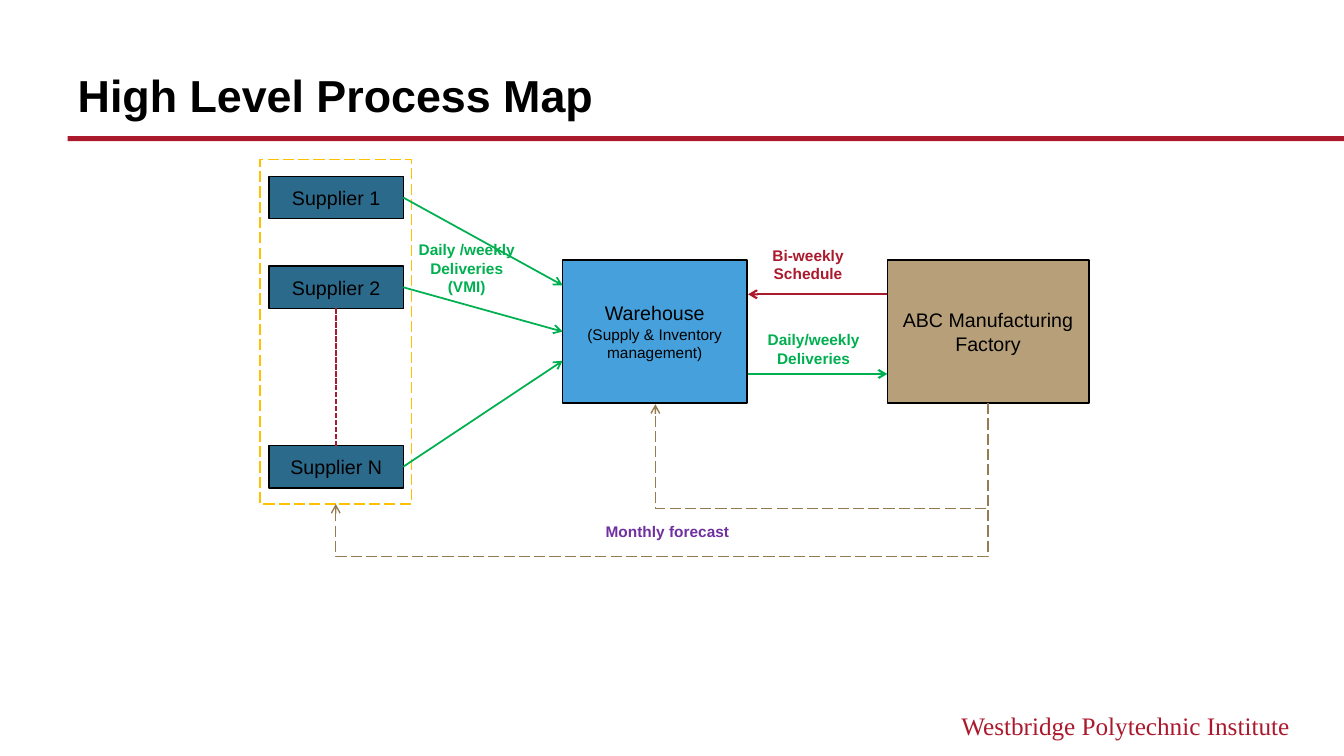
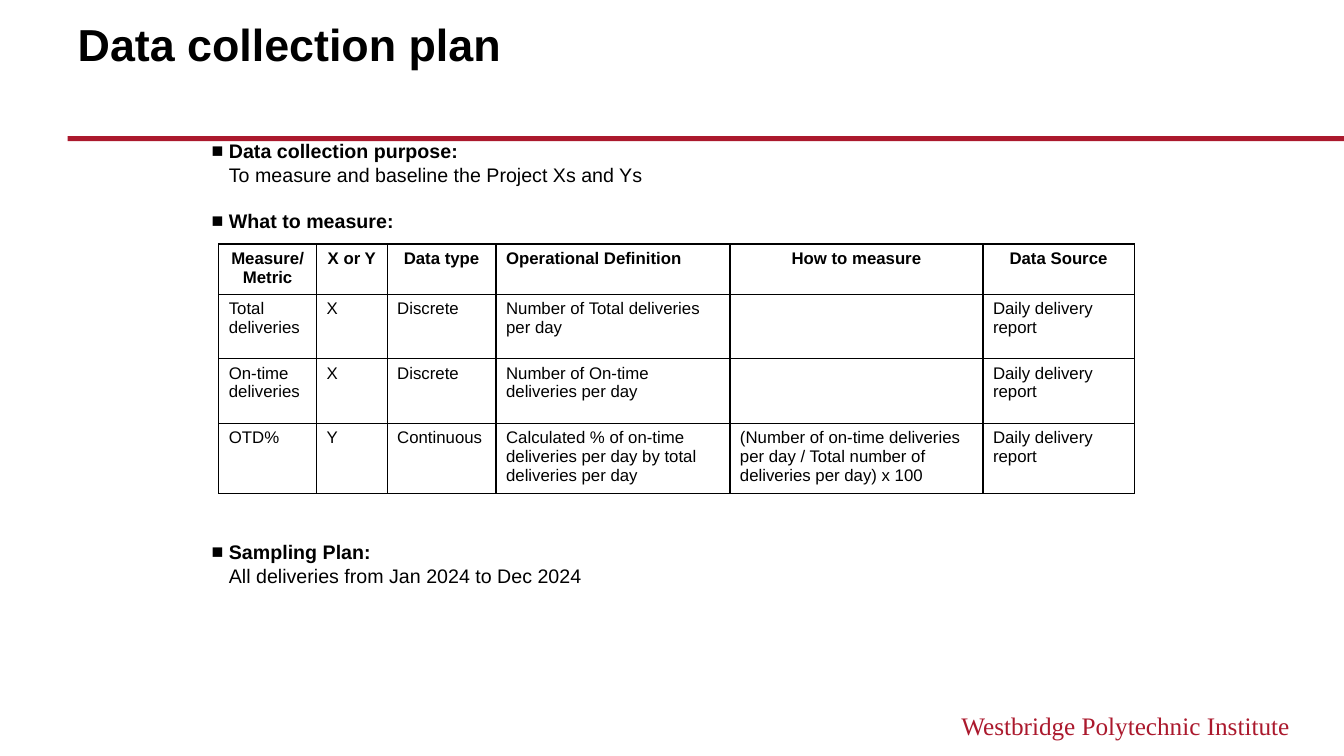
import lxml.etree
import pptx
import pptx.dml.color
import pptx.enum.dml
import pptx.enum.shapes
import pptx.enum.text
import pptx.oxml.ns
import pptx.util

Inches = pptx.util.Inches
Pt = pptx.util.Pt
RGBColor = pptx.dml.color.RGBColor
Align = pptx.enum.text.PP_ALIGN
Anchor = pptx.enum.text.MSO_ANCHOR
Dash = pptx.enum.dml.MSO_LINE
Shape = pptx.enum.shapes.MSO_SHAPE
Connector = pptx.enum.shapes.MSO_CONNECTOR
qn = pptx.oxml.ns.qn

BLACK = RGBColor(0x00, 0x00, 0x00)
CRIMSON = RGBColor(0xAB, 0x19, 0x2D)
GREEN = RGBColor(0x00, 0xB0, 0x50)
PURPLE = RGBColor(0x70, 0x30, 0xA0)
TEAL = RGBColor(0x2C, 0x6A, 0x8C)
BLUE = RGBColor(0x46, 0xA0, 0xDC)
SAND = RGBColor(0xB7, 0xA0, 0x79)
BROWN = RGBColor(0x94, 0x7B, 0x50)
GOLD = RGBColor(0xFF, 0xC0, 0x00)

TOP, LEFT, BOTTOM, RIGHT = range(4)
TITLE_ONLY, TWO_CONTENT = 5, 3


def add_xml(parent, tag, **attributes):
    return lxml.etree.SubElement(parent, qn(tag), attributes)


class DeckBuilder:
    """Holds the shared style and the slide being built."""

    font = "Arial"
    footer = "Westbridge Polytechnic Institute"

    def __init__(self):
        self.deck = pptx.Presentation()
        self.deck.slide_width = Inches(13.33)
        self.deck.slide_height = Inches(7.5)
        self.slide = None

    def new_slide(self, layout, title, title_bottom):
        self.slide = self.deck.slides.add_slide(self.deck.slide_layouts[layout])
        self.box(0.67, 1.35, 12.66, 0.05, fill=CRIMSON)
        self.label(8, 7, 4.89, 0.4, [self.footer], CRIMSON, size=18, bold=False,
                   align=Align.RIGHT, font="Times New Roman")
        heading = self.slide.shapes.title
        self.place(heading, 0.67, title_bottom - 0.75, 12, 0.75)
        self.set_text(heading.text_frame, [title], size=32, bold=True,
                      align=Align.LEFT, anchor=Anchor.BOTTOM)

    def place(self, shape, left, top, width, height):
        shape.left, shape.top = Inches(left), Inches(top)
        shape.width, shape.height = Inches(width), Inches(height)

    def style(self, para, size, color=BLACK, bold=False, align=Align.LEFT, font=None):
        para.alignment = align
        for span in para.runs:
            span.font.name = font or self.font
            span.font.size = Pt(size)
            span.font.bold = bold
            span.font.color.rgb = color

    def set_text(self, frame, lines, anchor=Anchor.MIDDLE, **style):
        frame.word_wrap = True
        frame.auto_size = pptx.enum.text.MSO_AUTO_SIZE.NONE
        frame.vertical_anchor = anchor
        frame.text = "\n".join(lines)
        for para in frame.paragraphs:
            self.style(para, **style)

    def box(self, left, top, width, height, lines=(), fill=None, line=None, dash=None):
        box = self.slide.shapes.add_shape(
            Shape.RECTANGLE, Inches(left), Inches(top), Inches(width), Inches(height))
        box.shadow.inherit = False
        if fill is None:
            box.fill.background()
        else:
            box.fill.solid()
            box.fill.fore_color.rgb = fill
        if line is None:
            box.line.fill.background()
        else:
            box.line.color.rgb = line
            box.line.width = Pt(1)
            box.line.dash_style = dash
        if lines:
            self.set_text(box.text_frame, lines, size=14, align=Align.CENTER)
        return box

    def label(self, left, top, width, height, lines, color, size=11, bold=True,
              align=Align.CENTER, font=None):
        box = self.slide.shapes.add_textbox(
            Inches(left), Inches(top), Inches(width), Inches(height))
        self.set_text(box.text_frame, lines, size=size, color=color, bold=bold,
                      align=align, font=font)

    def connector(self, kind, start, end, color, width, dash=None, arrow=True):
        line = self.slide.shapes.add_connector(
            kind, *(Inches(value) for value in (*start, *end)))
        line.line.color.rgb = color
        line.line.width = Pt(width)
        line.line.dash_style = dash
        if arrow:
            add_xml(line.line._get_or_add_ln(), "a:tailEnd", type="arrow")
        add_xml(line._element.spPr, "a:effectLst")
        return line

    def straight(self, start, end, color, width=1.5, dash=None, arrow=True):
        return self.connector(Connector.STRAIGHT, start, end, color, width, dash, arrow)

    def under_elbow(self, start, end, drop, color):
        """Arrow that goes down by drop, then left, then up to its end."""
        (x1, y1), (x2, y2) = start, end
        depth, span = y2 - y1, x1 - x2
        left = (x1 + x2 - depth) / 2
        top = (y1 + y2 - span) / 2
        line = self.connector(Connector.ELBOW, (left, top), (left + depth, top + span),
                              color, 1, Dash.LONG_DASH)
        properties = line._element.spPr
        properties.find(qn("a:xfrm")).set("rot", "5400000")
        adjustments = properties.find(qn("a:prstGeom")).find(qn("a:avLst"))
        add_xml(adjustments, "a:gd", name="adj1",
                fmla=f"val {round(drop / depth * 100000)}")

    def bullet_list(self, body, top, height, items):
        """Each item is a bold bulleted heading with an optional plain line."""
        self.place(body, 2, top, 9.42, height)
        lines = [(text, level == 0) for item in items for level, text in enumerate(item)]
        self.set_text(body.text_frame, [text for text, _ in lines], anchor=Anchor.TOP, size=14)
        for index, (para, (_, heading)) in enumerate(zip(body.text_frame.paragraphs, lines)):
            self.style(para, 14, bold=heading)
            para.space_before = Pt(16 if heading and index else 0)
            properties = para._p.get_or_add_pPr()
            indent = Inches(0.17)
            properties.set("marL", str(indent))
            properties.set("indent", str(-indent if heading else 0))
            if heading:
                add_xml(properties, "a:buFont", typeface=self.font)
                add_xml(properties, "a:buChar", char="■")
            else:
                add_xml(properties, "a:buNone")

    def border(self, cell):
        properties = cell._tc.get_or_add_tcPr()
        for index, side in enumerate(("L", "R", "T", "B")):
            edge = add_xml(properties, f"a:ln{side}", w=str(Pt(1)))
            fill = add_xml(edge, "a:solidFill")
            add_xml(fill, "a:srgbClr", val=str(BLACK))
            properties.insert(index, edge)

    def table(self, left, top, widths, heights, rows, left_headings=()):
        table = self.slide.shapes.add_table(
            len(rows), len(widths), Inches(left), Inches(top),
            Inches(sum(widths)), Inches(sum(heights))).table
        table.first_row = table.horz_banding = False
        for column, width in zip(table.columns, widths):
            column.width = Inches(width)
        for row_index, (row, height, texts) in enumerate(zip(table.rows, heights, rows)):
            row.height = Inches(height)
            header = row_index == 0
            for cell, text in zip(row.cells, texts):
                cell.text = text
                cell.fill.background()
                self.border(cell)
                centred = header and text not in left_headings
                self.style(cell.text_frame.paragraphs[0], 12, bold=header,
                           align=Align.CENTER if centred else Align.LEFT)


def process_map(builder):
    builder.new_slide(TITLE_ONLY, "High Level Process Map", 1.26)

    # Suppliers, warehouse and factory
    builder.box(2.58, 1.58, 1.5, 3.42, line=GOLD, dash=Dash.LONG_DASH)
    suppliers = [
        builder.box(2.67, top, 1.33, 0.42, [name], TEAL, BLACK)
        for name, top in (("Supplier 1", 1.75), ("Supplier 2", 2.64), ("Supplier N", 4.42))]
    warehouse = builder.box(5.58, 2.58, 1.83, 1.42,
                            ["Warehouse", "(Supply & Inventory management)"], BLUE, BLACK)
    builder.style(warehouse.text_frame.paragraphs[1], 11, align=Align.CENTER)
    builder.box(8.8, 2.58, 2, 1.42, ["ABC Manufacturing Factory"], SAND, BLACK)

    # Supplier deliveries
    for supplier, end_y in zip(suppliers, (2.83, 3.29, 3.58)):
        arrow = builder.straight((4, 2), (5.58, end_y), GREEN, 1.25)
        arrow.begin_connect(supplier, RIGHT)
        if supplier is suppliers[1]:
            arrow.end_connect(warehouse, LEFT)
    more = builder.straight((3.33, 3.06), (3.33, 4.42), CRIMSON, 1.25,
                            Dash.SQUARE_DOT, arrow=False)
    more.begin_connect(suppliers[1], BOTTOM)
    more.end_connect(suppliers[2], TOP)

    # Exchange between warehouse and factory
    builder.straight((8.8, 2.92), (7.42, 2.92), CRIMSON)
    builder.straight((7.42, 3.71), (8.8, 3.71), GREEN)

    # Forecast sent back from the factory
    builder.under_elbow((9.8, 4), (3.33, 5), 1.52, BROWN)
    builder.under_elbow((9.8, 4), (6.5, 4.01), 1.06, BROWN)

    # Flow labels
    builder.label(3.86, 2.45, 1.54, 0.42, ["Daily /weekly", "Deliveries", "(VMI)"], GREEN)
    builder.label(7.25, 2.33, 1.53, 0.58, ["Bi-weekly Schedule"], CRIMSON)
    builder.label(7.3, 3.25, 1.54, 0.42, ["Daily/weekly Deliveries"], GREEN)
    builder.label(5.83, 5.11, 1.58, 0.33, ["Monthly forecast"], PURPLE)


def collection_plan(builder):
    builder.new_slide(TWO_CONTENT, "Data collection plan", 0.75)

    # Purpose, measures and sampling
    _, upper, lower = builder.slide.placeholders
    builder.bullet_list(upper, 1.33, 1.05, [
        ("Data collection purpose:", "To measure and baseline the Project Xs and Ys"),
        ("What to measure:",)])
    builder.bullet_list(lower, 5.31, 0.55, [
        ("Sampling Plan:", "All deliveries from Jan 2024 to Dec 2024")])

    # Measures table
    source = "Daily delivery report"
    builder.table(
        2.17, 2.42, (0.97, 0.7, 1.08, 2.32, 2.51, 1.5), (0.5, 0.64, 0.64, 0.7), [
            ("Measure/ Metric", "X or Y", "Data type", "Operational Definition",
             "How to measure", "Data Source"),
            ("Total deliveries", "X", "Discrete", "Number of Total deliveries per day",
             "", source),
            ("On-time deliveries", "X", "Discrete", "Number of On-time deliveries per day",
             "", source),
            ("OTD%", "Y", "Continuous",
             "Calculated % of on-time deliveries per day by total deliveries per day",
             "(Number of on-time deliveries per day / Total number of deliveries per day) x 100",
             source)],
        left_headings=("Operational Definition",))


def main():
    builder = DeckBuilder()
    process_map(builder)
    collection_plan(builder)
    builder.deck.save("out.pptx")


if __name__ == "__main__":
    main()
